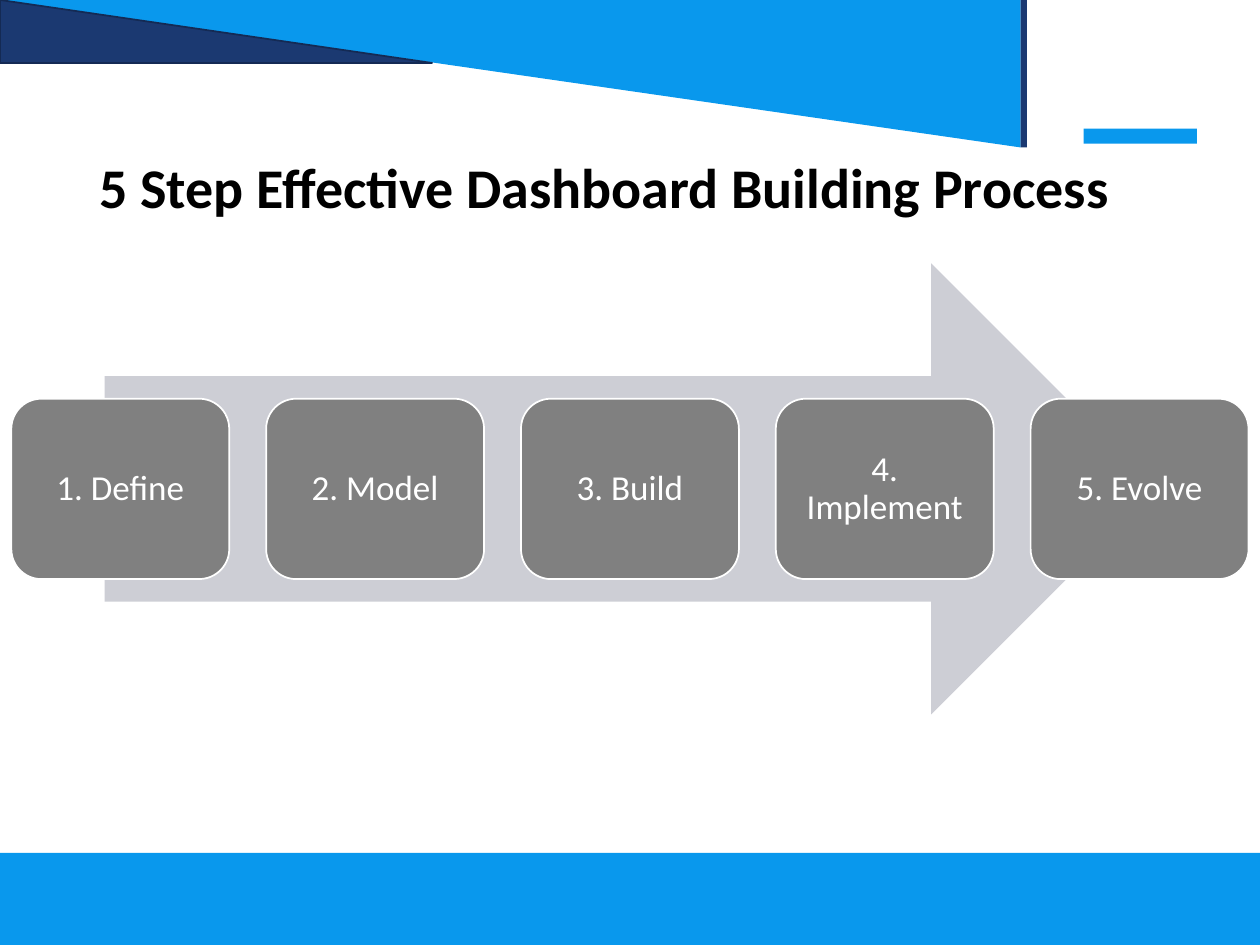
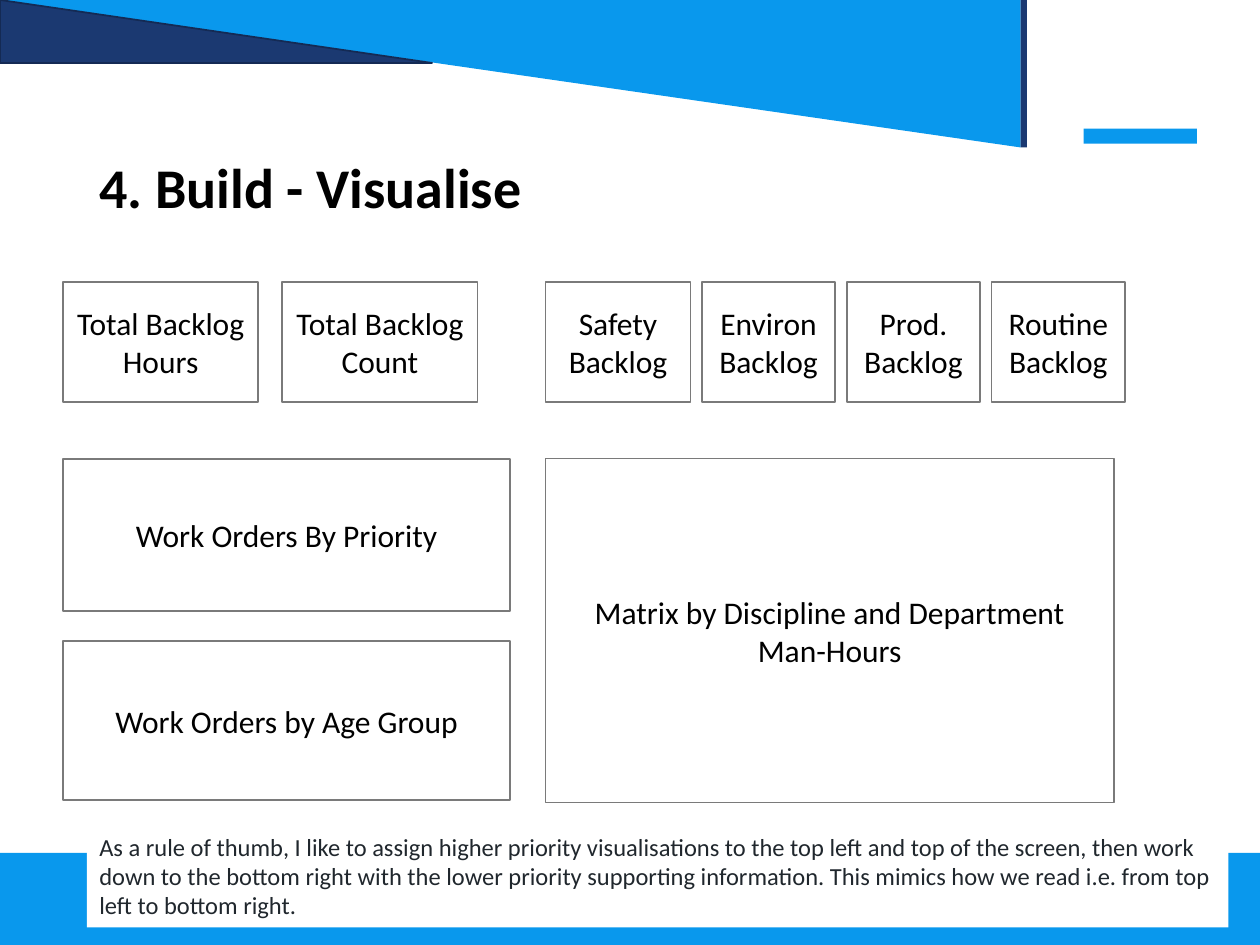
from collections import namedtuple
from dataclasses import dataclass

from pptx import Presentation
from pptx.dml.color import RGBColor
from pptx.enum.shapes import MSO_SHAPE
from pptx.enum.text import MSO_ANCHOR, PP_ALIGN
from pptx.util import Inches, Pt

RECT = MSO_SHAPE.RECTANGLE
ROUND = MSO_SHAPE.ROUNDED_RECTANGLE
WEDGE = MSO_SHAPE.RIGHT_TRIANGLE
ARROW = MSO_SHAPE.RIGHT_ARROW
TOP, MIDDLE = MSO_ANCHOR.TOP, MSO_ANCHOR.MIDDLE
LEFT, CENTER = PP_ALIGN.LEFT, PP_ALIGN.CENTER

COLS, ROWS = 100, 75
CELL = Inches(0.1)
BLANK = 6

Box = namedtuple("Box", "x y w h")


@dataclass(frozen=True)
class Theme:
    font: str = "Calibri"
    blue: str = "0998ED"
    navy: str = "1B3971"
    edge: str = "142A54"
    arrow: str = "CDCED5"
    card: str = "808080"
    frame: str = "7A7A7A"
    white: str = "FFFFFF"
    black: str = "000000"
    ink: str = "20272D"
    title: int = 32
    step: int = 20
    tile: int = 18
    note: int = 14


THEME = Theme()
PAGE = Box(0, 0, COLS, ROWS)
HEAD = Box(0, 0, COLS, 11.7)
FOOT = Box(0, 67.7, COLS, 7.3)
TITLE = Box(6.9, 11.8, 86.2, 6.7)
FLOW = Box(0, 20.9, COLS, 35.8)
BOARD = Box(5, 22.4, 84.3, 41.3)
NOTE = Box(6.9, 65.5, 90.6, 8.1)


def emu(box):
    return [round(side * CELL) for side in box]


def inside(box, x, y, w, h):
    return Box(box.x + x, box.y + y, w, h)


def across(box, widths, gap):
    x = box.x
    for width in widths:
        yield Box(x, box.y, width, box.h)
        x += width + gap


def down(box, heights, gap):
    y = box.y
    for height in heights:
        yield Box(box.x, y, box.w, height)
        y += height + gap


def draw(slide, kind, box, fill, line=None):
    shape = slide.shapes.add_shape(kind, *emu(box))
    shape.shadow.inherit = False
    shape.fill.solid()
    shape.fill.fore_color.rgb = RGBColor.from_string(fill)
    if line:
        shape.line.color.rgb = RGBColor.from_string(line)
        shape.line.width = Pt(1)
    else:
        shape.line.fill.background()
    return shape


def write(shape, text, size, color, align=CENTER, anchor=MIDDLE,
          bold=False, lead=1.0):
    frame = shape.text_frame
    frame.text = text
    frame.word_wrap = True
    frame.vertical_anchor = anchor
    para = frame.paragraphs[0]
    para.alignment = align
    para.line_spacing = lead
    font = para.runs[0].font
    font.name = THEME.font
    font.size = Pt(size)
    font.bold = bold
    font.color.rgb = RGBColor.from_string(color)


def header(slide, box):
    wing = draw(slide, WEDGE, inside(box, 0, 0, 81, box.h), THEME.blue)
    wing.rotation = 180
    draw(slide, RECT, inside(box, 86, 10.2, 9, 1.2), THEME.blue)
    draw(slide, RECT, inside(box, 81, 0, 0.5, box.h), THEME.navy)
    draw(slide, WEDGE, inside(box, 0, 0, 34.3, 5), THEME.navy, THEME.edge)


def heading(slide, box, text):
    label = slide.shapes.add_textbox(*emu(box))
    write(label, text, THEME.title, THEME.black, LEFT, bold=True, lead=0.9)


def start(deck, title):
    slide = deck.slides.add_slide(deck.slide_layouts[BLANK])
    header(slide, HEAD)
    draw(slide, RECT, FOOT, THEME.blue)
    heading(slide, TITLE, title)
    return slide


def flow(slide, box, steps):
    draw(slide, ARROW, inside(box, 8.3, 0, 83.5, box.h), THEME.arrow)
    edge, width = 0.9, 17.3
    row = inside(box, edge, box.h * 0.3, box.w - 2 * edge, box.h * 0.4)
    count = len(steps)
    gap = (row.w - count * width) / (count - 1)
    for step, cell in zip(steps, across(row, [width] * count, gap)):
        card = draw(slide, ROUND, cell, THEME.card, THEME.white)
        frame = card.text_frame
        frame.margin_left = frame.margin_right = Inches(0.08)
        frame.margin_top = frame.margin_bottom = Inches(0.08)
        write(card, step, THEME.step, THEME.white, lead=0.9)


def tiles(slide, names, cells):
    for name, cell in zip(names, cells):
        tile = draw(slide, RECT, cell, THEME.white, THEME.frame)
        write(tile, name, THEME.tile, THEME.black)


def board(slide, box, totals, types, charts, matrix):
    split, top, body = 38.3, 9.5, 14
    left = inside(box, 0, 0, 35.5, top)
    right = inside(box, split, 0, box.w - split, top)
    tiles(slide, totals, across(left, [15.5] * 2, 1.9))
    tiles(slide, types, across(right, [11.5] + [10.6] * 3, 0.9))
    stack = inside(box, 0, body, 35.5, box.h - body)
    tiles(slide, charts, down(stack, [12.1, 12.6], 2.4))
    tiles(slide, [matrix], [inside(box, split, body, 45.1, box.h - body)])


def note(slide, box, text):
    panel = draw(slide, RECT, box, THEME.white)
    write(panel, text, THEME.note, THEME.ink, LEFT, TOP)


def main():
    deck = Presentation()
    deck.slide_width, deck.slide_height = emu(PAGE)[2:]

    slide = start(deck, "5 Step Effective Dashboard Building Process")
    flow(slide, FLOW, ["1. Define", "2. Model", "3. Build",
                       "4. Implement", "5. Evolve"])

    slide = start(deck, "4. Build - Visualise")
    board(slide, BOARD,
          ["Total Backlog Hours", "Total Backlog Count"],
          ["Safety Backlog", "Environ Backlog",
           "Prod. Backlog", "Routine Backlog"],
          ["Work Orders By Priority", "Work Orders by Age Group"],
          "Matrix by Discipline and Department Man-Hours")
    note(slide, NOTE,
         "As a rule of thumb, I like to assign higher priority "
         "visualisations to the top left and top of the screen, then work "
         "down to the bottom right with the lower priority supporting "
         "information. This mimics how we read i.e. from top left to "
         "bottom right.")

    deck.save("out.pptx")


if __name__ == "__main__":
    main()
